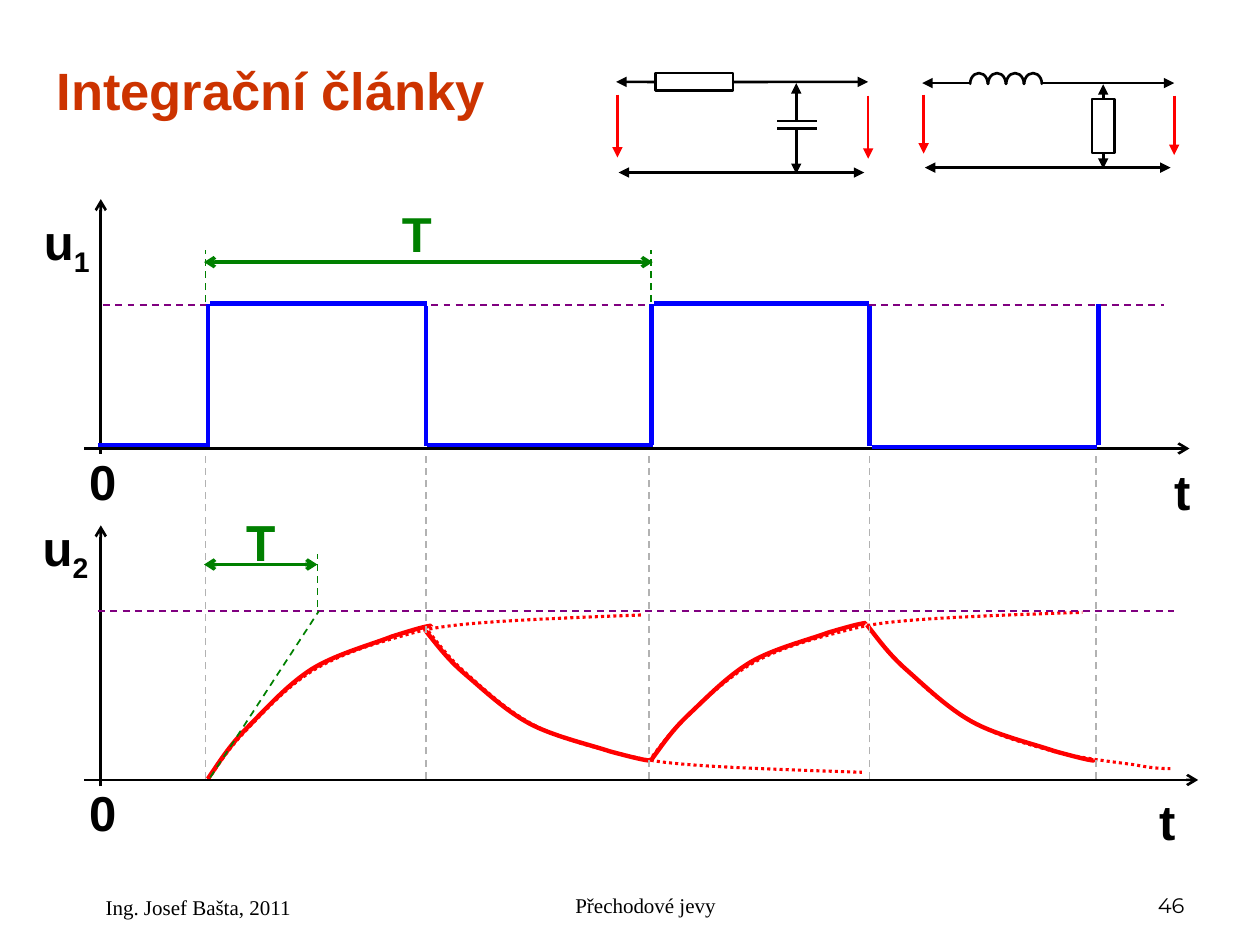
from lxml.etree import SubElement as Sub
from pptx import Presentation
from pptx.dml.color import RGBColor as Rgb
from pptx.enum.dml import MSO_LINE as Dash
from pptx.enum.shapes import MSO_CONNECTOR as Conn, MSO_SHAPE as Geo
from pptx.enum.text import MSO_ANCHOR as Anchor, MSO_AUTO_SIZE as Auto, PP_ALIGN as Align
from pptx.oxml.ns import qn
from pptx.util import Pt

HUES = {"black": "000000", "red": "FF0000", "blue": "0000FF", "green": "008000",
        "purple": "800080", "gray": "B2B2B2", "rust": "CC3300", "gold": "FFCC00"}

STYLES = {
    "axis": ("black", 1.5, None, None, "arrow"),
    "level": ("purple", 1, Dash.DASH, None, None),
    "wave": ("blue", 2.5, None, None, None),
    "drop": ("gray", 1, Dash.DASH, None, None),
    "guide": ("green", 1, Dash.DASH, None, None),
    "span": ("green", 2, None, "arrow", "arrow"),
    "rail": ("black", 1.5, None, "triangle", "triangle"),
    "tip": ("black", 1.5, None, None, "triangle"),
    "volt": ("red", 1.5, None, None, "triangle"),
    "wire": ("black", 1.5, None, None, None),
    "trend": ("red", 1.75, Dash.ROUND_DOT, None, None),
    "pulse": ("red", 2.5, None, None, None),
}

BENDS = {
    "long": ([0, 9, 17, 31, 45, 63, 82, 101, 125, 146, 167, 175, 208, 241, 292, 344],
             [0, 13, 26, 40, 55, 74, 86, 98, 106, 112, 118, 121, 124, 127, 129, 131]),
    "tail": ([0, 8, 17, 31, 44, 63, 82, 101, 125, 146, 167, 193, 208, 223, 231, 236],
             [0, 11, 22, 34, 47, 63, 73, 84, 90, 96, 101, 104, 106, 109, 109, 109]),
    "half": ([0, 9, 17, 31, 45, 63, 82, 101, 131, 146, 162, 169, 174, 179, 176, 177],
             [0, 13, 26, 40, 54, 74, 86, 98, 106, 112, 117, 119, 120, 121, 120, 120]),
}

CURVES = [
    ("long", "trend", 118.8, 445.7, 247.7, -94.3),
    ("long", "trend", 244.8, 360.7, 247.7, 80.6),
    ("long", "trend", 370.8, 434.9, 247.7, -85),
    ("tail", "trend", 498.2, 360.7, 170.6, 78.5),
    ("half", "pulse", 118.8, 445, 128.9, -87.8),
    ("half", "pulse", 372.2, 434.2, 123.8, -78.5),
    ("half", "pulse", 243.4, 360.7, 128.9, 74.2),
    ("half", "pulse", 495.4, 357.1, 131, 77.8),
]

DROPS = [117.4, 243.4, 370.8, 496.8, 626.4]
LINES = {
    "axis": [(48.2, 256.3, 679.7, 256.3), (57.6, 259.2, 57.6, 113.8),
             (48.2, 445.7, 684.7, 445.7), (57.6, 449.3, 57.6, 300.2)],
    "level": [(59, 174.2, 665.3, 174.2), (56.2, 349.2, 671, 349.2)],
    "wave": [(56.2, 254.2, 120.2, 254.2), (120.2, 173.5, 244.1, 173.5),
             (244.1, 254.2, 373, 254.2), (118.8, 254.2, 118.8, 173.5),
             (243.4, 254.9, 243.4, 175), (373.7, 173.5, 496.8, 173.5),
             (372.2, 254.2, 372.2, 173.5), (496.8, 254.9, 496.8, 175),
             (498.2, 255.6, 627.1, 255.6), (627.8, 254.2, 627.8, 173.5)],
    "drop": [(x, 445, x, 259.2) for x in DROPS],
    "guide": [(117.4, 172.8, 117.4, 142.6), (372.2, 172.8, 372.2, 142.6),
              (120.2, 444.2, 182.2, 349.2), (181.4, 347, 181.4, 316.8)],
    "span": [(116.6, 149.8, 373, 149.8), (116.6, 322.6, 181.4, 322.6)],
    "rail": [(493.9, 98.6, 353.5, 98.6), (668.9, 95.8, 528.5, 95.8)],
    "volt": [(352.8, 54, 352.8, 90), (496.1, 54.7, 496.1, 90.7),
             (527.8, 54, 527.8, 87.8), (671, 54.7, 671, 88.6)],
    "wire": [(466.6, y, 444.2, y) for y in (69.1, 73.4)],
    "tip": [(455, 73.4, 455, 99.4), (455, 69.1, 455, 47.5),
            (555.1, 47.5, 527, 47.5), (596.2, 47.5, 671, 47.5)],
}

BOXES = [
    ((374.4, 41.8, 44.6, 10.1), [(1, 352.1, 46.8), (3, 496.1, 46.8)]),
    ((623.9, 56.5, 13, 31), [(0, 630.4, 48.2), (2, 630.4, 96.5)]),
]
COIL = {"x": 554.4, "y": 41.8, "w": 10.1, "h": 12.2, "step": 10.3, "count": 4}

TITLE = ("Integrační články", (25.2, 32.4, 298.8, 37.4))
LABELS = [
    ("0", "", (43.9, 254.2, 35.3, 41), "black", "Arial"),
    ("t", "", (663.8, 259.9, 35.3, 41), "black", "Arial"),
    ("u", "1", (18, 117.4, 47.5, 45.4), "black", "Arial"),
    ("0", "", (43.9, 443.5, 35.3, 41), "black", "Arial"),
    ("t", "", (655.2, 448.6, 35.3, 41), "black", "Arial"),
    ("u", "2", (17.3, 292.3, 47.5, 45.4), "black", "Arial"),
    ("T", "", (222.5, 113, 32.4, 41), "green", "Arial"),
    ("T", "", (133.2, 289.4, 32.4, 41), "green", "Roboto"),
]
FOOTS = [
    ("Přechodové jevy", (246.2, 491.8, 228.2, 36), Align.CENTER, 17.3, "Times New Roman"),
    ("46", (516.2, 491.8, 167.8, 36), Align.RIGHT, 0, "Montserrat"),
    ("Ing. Josef Bašta, 2011", (36, 491.8, 167.8, 37.4), Align.LEFT, 17.3, "Times New Roman"),
]


def pts(vals):
    return [Pt(v) for v in vals]


def hue(name):
    return Rgb.from_string(HUES[name])


def put(obj, **vals):
    for key, val in vals.items():
        setattr(obj, key, val)


def stroke(shape, style):
    tint, width, dash, head, tail = STYLES[style]
    line = shape.line
    line.color.rgb = hue(tint)
    line.width = Pt(width)
    if dash:
        line.dash_style = dash
    ln = line._get_or_add_ln()
    for tag, kind in (("a:headEnd", head), ("a:tailEnd", tail)):
        if kind:
            Sub(ln, qn(tag), type=kind)


def link(x1, y1, x2, y2, style, box=None, side=0):
    conn = tree.add_connector(Conn.STRAIGHT, *pts((x1, y1, x2, y2)))
    if box is not None:
        conn.begin_connect(box, side)
    stroke(conn, style)
    Sub(conn._element.spPr, qn("a:effectLst"))


def curve(bend, style, x, y, w, h):
    xs, ys = BENDS[bend]
    dots = [pts((x + w * a / max(xs), y + h * b / max(ys))) for a, b in zip(xs, ys)]
    form = tree.build_freeform(*dots[0])
    form.add_line_segments(dots[1:], close=False)
    shape = form.convert_to_shape()
    segs = list(shape._element.iter(qn("a:lnTo")))
    for i in range(0, len(segs), 3):
        cubic = Sub(segs[i].getparent(), qn("a:cubicBezTo"))
        for seg in segs[i:i + 3]:
            cubic.append(seg[0])
            seg.getparent().remove(seg)
    shape.shadow.inherit = False
    shape.fill.background()
    stroke(shape, style)


def solid(kind, spot, fill=None):
    shape = tree.add_shape(kind, *pts(spot))
    shape.shadow.inherit = False
    if fill:
        shape.fill.solid()
        shape.fill.fore_color.rgb = hue(fill)
    else:
        shape.fill.background()
    stroke(shape, "wire")
    return shape


def write(shape, text, sub="", tint="black", align=Align.LEFT, anchor=Anchor.TOP,
          auto=Auto.NONE, indent=0, **font):
    frame = shape.text_frame
    put(frame, word_wrap=True, auto_size=auto, vertical_anchor=anchor,
        margin_left=Pt(7.2), margin_right=Pt(7.2), margin_top=Pt(3.6), margin_bottom=Pt(3.6))
    para = frame.paragraphs[0]
    para.alignment = align
    if indent:
        para._p.get_or_add_pPr().set("marL", str(Pt(indent)))
    for part in filter(None, (text, sub)):
        run = para.add_run()
        run.text = part
        put(run.font, **font)
        run.font.color.rgb = hue(tint)
    if sub:
        run._r.get_or_add_rPr().set("baseline", "-25000")


deck = Presentation()
put(deck, slide_width=Pt(720), slide_height=Pt(540))
slide = deck.slides.add_slide(deck.slide_layouts[5])
tree = slide.shapes

for row in CURVES:
    curve(*row)
for style, rows in LINES.items():
    for row in rows:
        link(*row, style)
for spot, leads in BOXES:
    box = solid(Geo.RECTANGLE, spot)
    for side, x, y in leads:
        link(x, y, x, y, "tip", box, side)
for i in range(COIL["count"]):
    arc = solid(Geo.BLOCK_ARC, (COIL["x"] + i * COIL["step"], COIL["y"], COIL["w"], COIL["h"]), "gold")
    for k, val in enumerate((107.89, 0.11, 0)):
        arc.adjustments[k] = val

text, spot = TITLE
put(tree.title, **dict(zip(("left", "top", "width", "height"), pts(spot))))
write(tree.title, text, tint="rust", anchor=Anchor.MIDDLE, name="Arial", size=Pt(30), bold=True)
for text, sub, spot, tint, face in LABELS:
    write(tree.add_textbox(*pts(spot)), text, sub, tint, auto=Auto.SHAPE_TO_FIT_TEXT,
          name=face, size=Pt(28), bold=True)
for text, spot, align, indent, face in FOOTS:
    write(tree.add_textbox(*pts(spot)), text, align=align, anchor=Anchor.BOTTOM,
          indent=indent, name=face, size=Pt(12))

deck.save("out.pptx")
